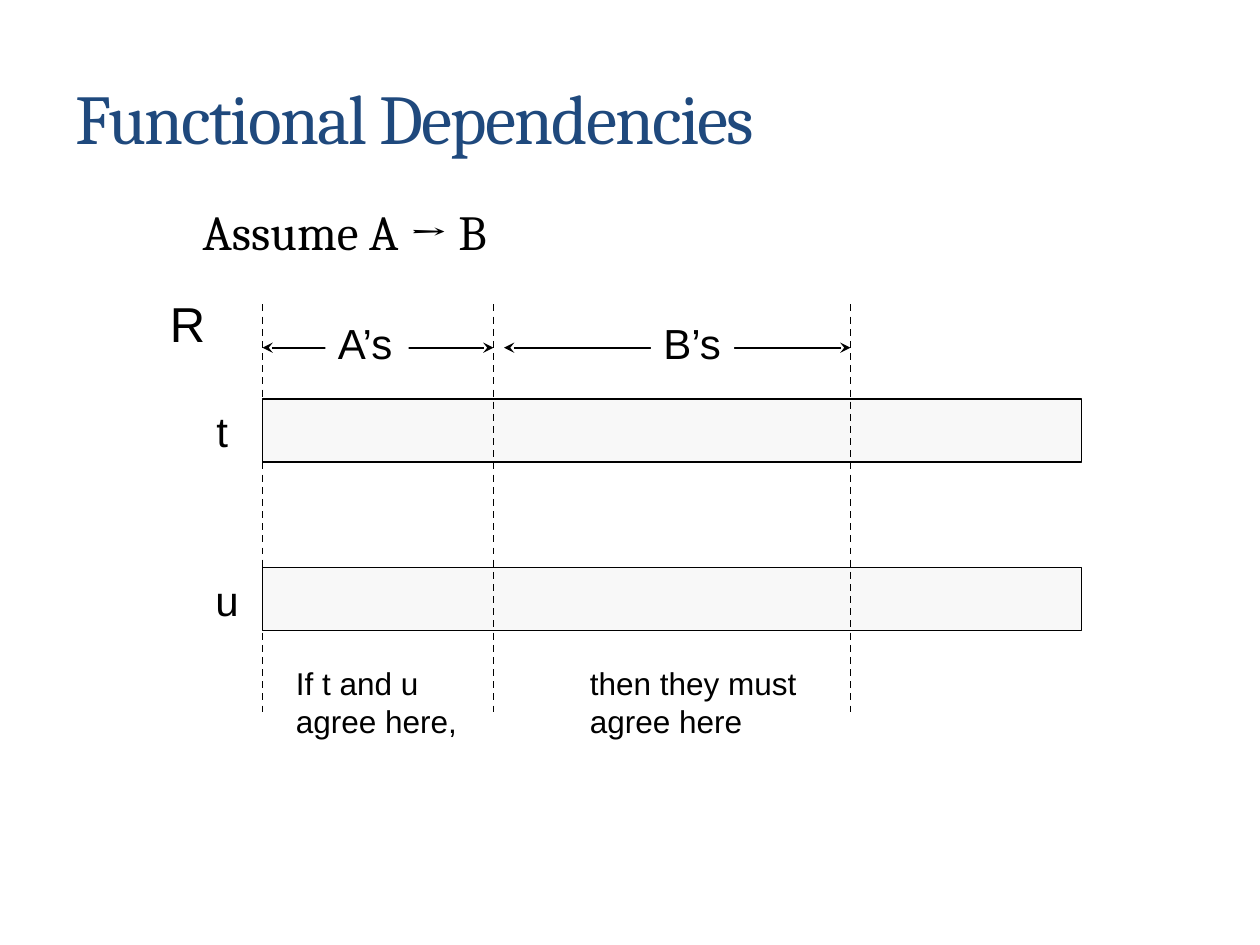
"""Builds the functional dependencies slide."""
from lxml import etree
from pptx import Presentation
from pptx.dml.color import RGBColor
from pptx.enum.dml import MSO_LINE
from pptx.enum.shapes import MSO_CONNECTOR, MSO_SHAPE
from pptx.enum.text import MSO_ANCHOR
from pptx.oxml import parse_xml
from pptx.oxml.ns import qn
from pptx.util import Pt

DRAWING_NS = "http://schemas.openxmlformats.org/drawingml/2006/main"


def paint(color_format, value):
    color_format.rgb = RGBColor.from_string(value)


def add_text(left, top, width, height, lines, size, font="Arial", color="000000", wrap=False, fill=None):
    box = slide.shapes.add_textbox(Pt(left), Pt(top), Pt(width), Pt(height))
    if fill:
        box.fill.solid()
        paint(box.fill.fore_color, fill)
    frame = box.text_frame
    frame.word_wrap = wrap
    frame.text = "\n".join(lines)
    for paragraph in frame.paragraphs:
        text_font = paragraph.runs[0].font
        text_font.size = Pt(size)
        text_font.name = font
        paint(text_font.color, color)
    return frame


prs = Presentation()
prs.slide_width, prs.slide_height = Pt(720), Pt(540)
slide = prs.slides.add_slide(prs.slide_layouts[6])

row_left, row_width, row_height = 150, 468, 36
rows = [("t", 228, 116.6, 21), ("u", 324.5, 116, 28)]
for name, top, label_left, label_width in rows:
    row = slide.shapes.add_shape(MSO_SHAPE.RECTANGLE, Pt(row_left), Pt(top), Pt(row_width), Pt(row_height))
    row.shadow.inherit = False
    row.fill.solid()
    paint(row.fill.fore_color, "F8F8F8")
    paint(row.line.color, "000000")
    row.line.width = Pt(0.75)

a_start, a_end, b_start, b_end = row_left, 282, 288, 486
arrow_y = 198.7
guides = [(x, 174, x, 408) for x in (a_start, a_end, b_end)]
arrows = [(a_start, arrow_y, a_end, arrow_y), (b_start, arrow_y, b_end, arrow_y)]
for ends in guides + arrows:
    line = slide.shapes.add_connector(MSO_CONNECTOR.STRAIGHT, *[Pt(value) for value in ends])
    paint(line.line.color, "000000")
    line.line.width = Pt(1)
    if ends in guides:
        line.line.dash_style = MSO_LINE.DASH
    else:
        for end in ("headEnd", "tailEnd"):
            etree.SubElement(line.line._get_or_add_ln(), qn("a:" + end), type="stealth")
    etree.SubElement(line._element.spPr, qn("a:effectLst"))

for name, top, label_left, label_width in rows:
    add_text(label_left, top, label_width, row_height, [name], 24)

for name, left in (("A’s", 186), ("B’s", 372)):
    add_text(left, 178, 47.5, 36, [name], 24, fill="FFFFFF")

notes = [(162, 106.5, ["If t and u", "agree here,"]), (330, 132.5, ["then they must", "agree here"])]
for left, width, lines in notes:
    add_text(left, 376, width, 50.4, lines, 18, fill="FFFFFF")

add_text(108.7, 111.6, 336, 54, ["Assume A → B"], 28, font="Cambria", wrap=True)
add_text(90, 164, 34.5, 41, ["R"], 28)

title = add_text(36, 21.6, 648.7, 90, ["Functional Dependencies"], 40, font="Cambria", color="1F497D", wrap=True)
title.vertical_anchor = MSO_ANCHOR.MIDDLE
title_properties = title.paragraphs[0].runs[0].font._element
title_properties.set("spc", "-100")
title_properties.find(qn("a:solidFill")).addnext(parse_xml(
    f'<a:effectLst xmlns:a="{DRAWING_NS}">'
    '<a:outerShdw blurRad="38100" dist="38100" dir="2700000" algn="tl">'
    '<a:srgbClr val="000000"><a:alpha val="43000"/></a:srgbClr>'
    '</a:outerShdw></a:effectLst>'))

prs.save("out.pptx")
